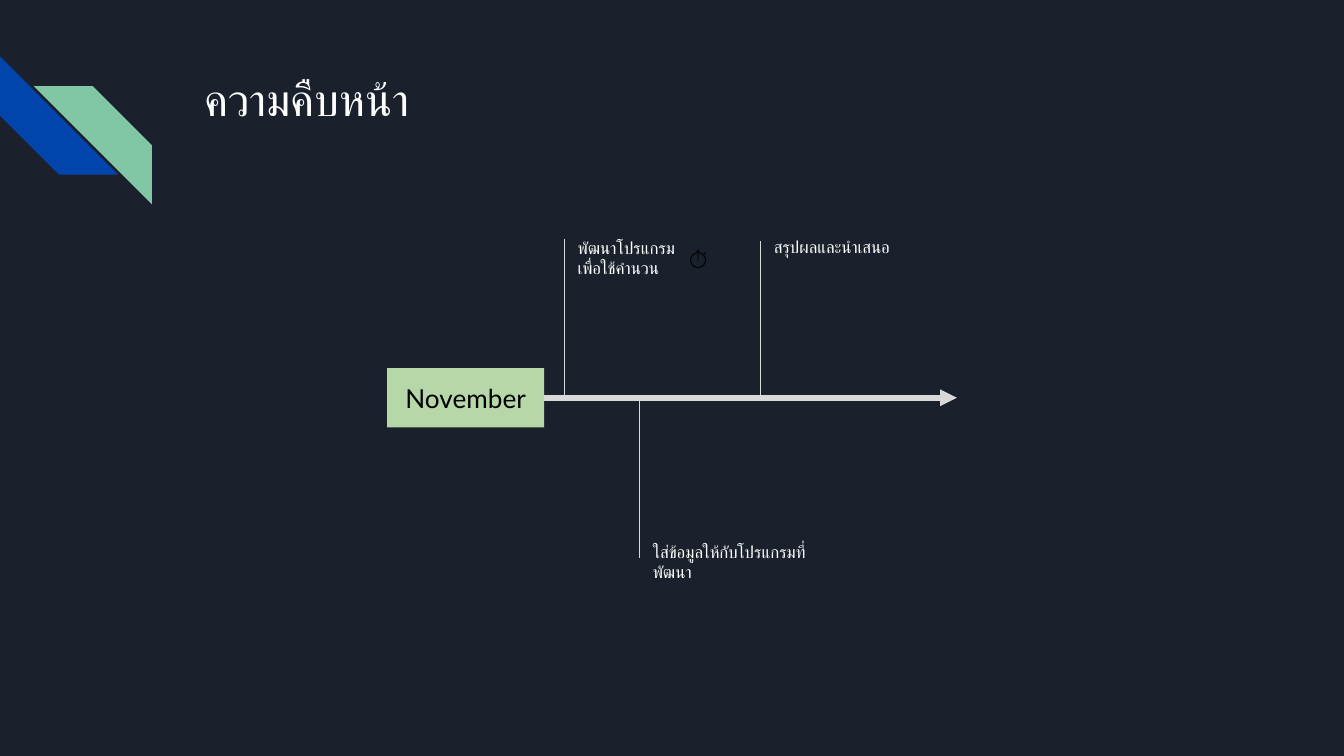
from dataclasses import dataclass

import pptx
import pptx.dml.color
import pptx.enum.dml
import pptx.enum.shapes
import pptx.enum.text
import pptx.oxml
import pptx.oxml.ns
import pptx.util

PX = 4572
RGBColor = pptx.dml.color.RGBColor
NAVY = RGBColor(0x1B, 0x21, 0x2C)
BLUE = RGBColor(0x01, 0x45, 0xAC)
MINT = RGBColor(0x82, 0xC7, 0xA5)
GREEN = RGBColor(0xB6, 0xD7, 0xA8)
GREY = RGBColor(0xD9, 0xD9, 0xD9)
WHITE = RGBColor(0xFF, 0xFF, 0xFF)
BLACK = RGBColor(0, 0, 0)
SHAPE = pptx.enum.shapes.MSO_SHAPE
ALIGN = pptx.enum.text.PP_ALIGN
ANCHOR = pptx.enum.text.MSO_ANCHOR
INSET = 20


@dataclass(frozen=True)
class Area:
    left: int
    top: int
    width: int
    height: int

    def emu(self) -> list[int]:
        return [side * PX for side in (self.left, self.top, self.width, self.height)]


@dataclass(frozen=True)
class Label:
    text: str
    area: Area
    size: int = 9
    color: RGBColor = WHITE
    font: str = "Lato"
    align: ALIGN = ALIGN.LEFT
    anchor: ANCHOR = ANCHOR.TOP


@dataclass(frozen=True)
class Line:
    start: tuple[int, int]
    end: tuple[int, int]
    width: float = 0.75
    arrow: bool = False


STRIPES = [
    (Area(0, 84, 176, 176), BLUE, 270, False),
    (Area(50, 128, 176, 176), MINT, 0, True),
]
TITLE = Label("ความคืบหน้า", Area(284, 86, 1540, 200), 24, font="Montserrat")
MONTH = Label("November", Area(576, 548, 234, 88), 14, BLACK,
              align=ALIGN.CENTER, anchor=ANCHOR.MIDDLE)
LINES = [
    Line((810, 592), (1424, 592), 3, True),
    Line((840, 592), (840, 356)),
    Line((952, 830), (952, 592)),
    Line((1132, 594), (1132, 358)),
]
LABELS = [
    Label("พัฒนาโปรแกรม เพื่อใช้คำนวน", Area(840, 334, 210, 100)),
    Label("ใส่ข้อมูลให้กับโปรแกรมที่พัฒนา", Area(952, 786, 308, 100)),
    Label("สรุปผลและนำเสนอ", Area(1132, 332, 244, 70)),
    Label("⏱️", Area(1004, 346, 68, 78), 11, BLACK),
]


def apply(target: object, values: dict) -> None:
    for name, value in values.items():
        setattr(target, name, value)


def write(box, label: Label) -> None:
    frame = box.text_frame
    margins = {f"margin_{side}": INSET * PX for side in ("left", "top", "right", "bottom")}
    apply(frame, margins | {
        "word_wrap": True,
        "auto_size": pptx.enum.text.MSO_AUTO_SIZE.NONE,
        "vertical_anchor": label.anchor,
    })
    para = frame.paragraphs[0]
    para.alignment = label.align
    span = para.add_run()
    span.text = label.text
    apply(span.font, {"name": label.font, "size": pptx.util.Pt(label.size)})
    span.font.color.rgb = label.color


def add_filled(shapes, kind: SHAPE, area: Area, color: RGBColor):
    shape = shapes.add_shape(kind, *area.emu())
    shape.shadow.inherit = False
    shape.fill.solid()
    shape.fill.fore_color.rgb = color
    shape.line.fill.background()
    return shape


def add_stripe(shapes, area: Area, color: RGBColor, rotation: int, flipped: bool) -> None:
    stripe = add_filled(shapes, SHAPE.DIAGONAL_STRIPE, area, color)
    stripe.adjustments[0] = 0.5
    stripe.rotation = rotation
    if flipped:
        stripe._element.spPr.find(pptx.oxml.ns.qn("a:xfrm")).set("flipH", "1")


def add_line(shapes, line: Line) -> None:
    points = [value * PX for value in line.start + line.end]
    connector = shapes.add_connector(pptx.enum.shapes.MSO_CONNECTOR.STRAIGHT, *points)
    connector.line.width = pptx.util.Pt(line.width)
    connector.line.color.rgb = GREY
    if line.arrow:
        head = pptx.oxml.parse_xml(
            f'<a:tailEnd {pptx.oxml.ns.nsdecls("a")} type="triangle"/>')
        connector.line._get_or_add_ln().append(head)
    connector._element.spPr.append(
        pptx.oxml.parse_xml(f'<a:effectLst {pptx.oxml.ns.nsdecls("a")}/>'))


def main() -> None:
    deck = pptx.Presentation()
    apply(deck, {"slide_width": 2000 * PX, "slide_height": 1125 * PX})
    page = deck.slides.add_slide(deck.slide_layouts[5])
    page.background.fill.solid()
    page.background.fill.fore_color.rgb = NAVY
    for stripe in STRIPES:
        add_stripe(page.shapes, *stripe)
    title = page.shapes.title
    apply(title, dict(zip(("left", "top", "width", "height"), TITLE.area.emu())))
    write(title, TITLE)
    write(add_filled(page.shapes, SHAPE.RECTANGLE, MONTH.area, GREEN), MONTH)
    for line in LINES:
        add_line(page.shapes, line)
    for label in LABELS:
        write(page.shapes.add_textbox(*label.area.emu()), label)
    deck.save("out.pptx")


if __name__ == "__main__":
    main()
